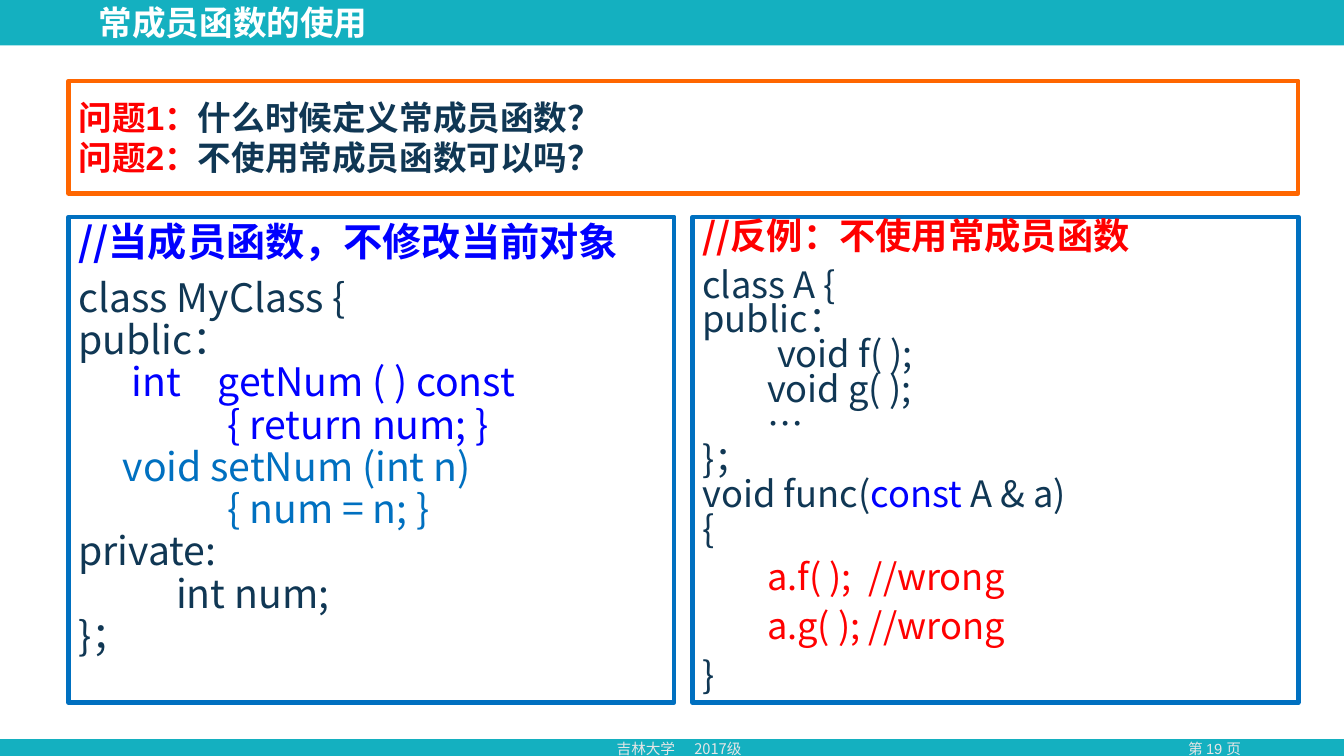
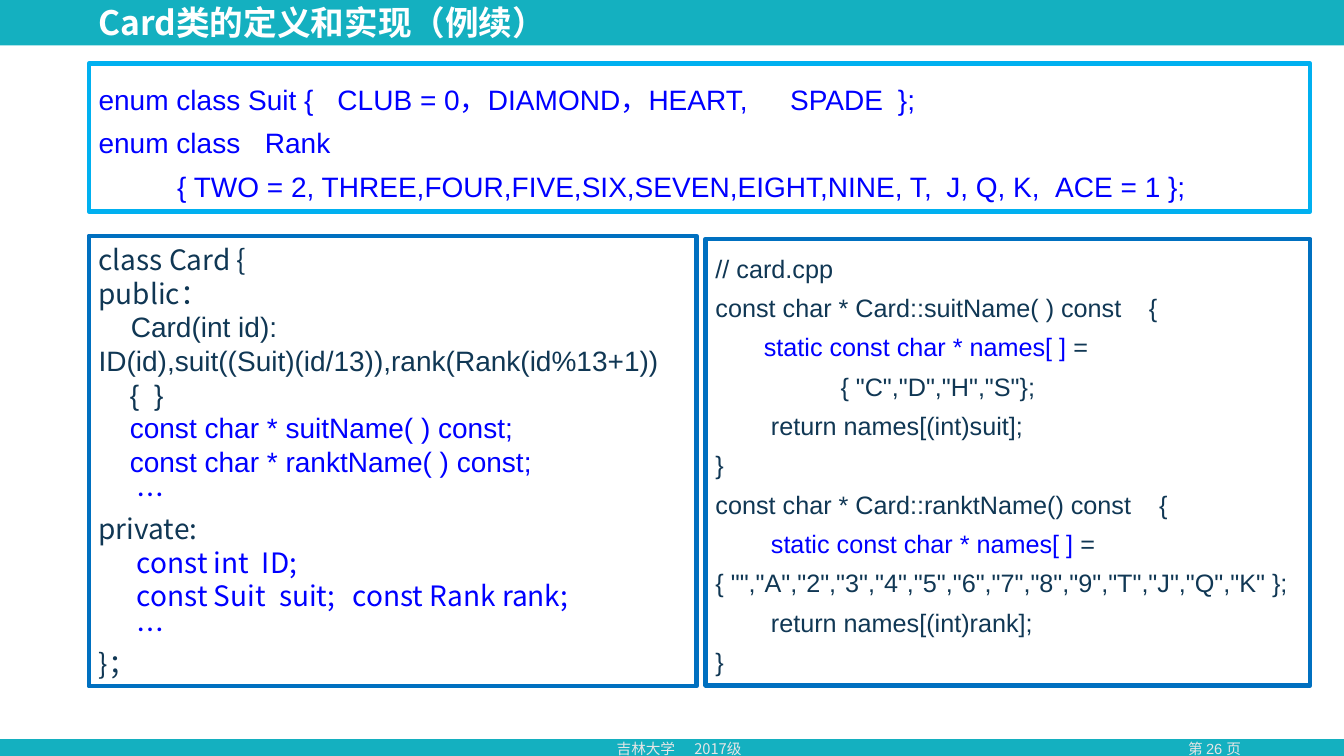
from dataclasses import dataclass

import pptx
import pptx.dml.color
import pptx.enum.shapes
import pptx.enum.text
import pptx.oxml.ns
import pptx.util
from lxml import etree

RGB = pptx.dml.color.RGBColor
Anchor = pptx.enum.text.MSO_ANCHOR
Align = pptx.enum.text.PP_ALIGN
RECTANGLE = pptx.enum.shapes.MSO_SHAPE.RECTANGLE

# Shared look
TEAL = RGB(0x14, 0xB0, 0xC0)
WHITE = RGB(0xFF, 0xFF, 0xFF)
PALE = RGB(0xE7, 0xE6, 0xE6)
NAVY = RGB(0x10, 0x37, 0x54)
BLUE = RGB(0x00, 0x00, 0xFF)
STEEL = RGB(0x00, 0x70, 0xC0)
SKY = RGB(0x00, 0xB0, 0xF0)
ORANGE = RGB(0xFF, 0x66, 0x00)
RED = RGB(0xFF, 0x00, 0x00)

ARIAL = "Arial"
NOTO = "Noto Sans CJK SC"
LINE_HEIGHT = 1.2  # height of a single-spaced line, in font sizes

WIDTH = pptx.util.Inches(13.333)
HEIGHT = pptx.util.Inches(7.5)


@dataclass(frozen=True)
class Place:
    """Position and size in percent of the slide."""
    left: float
    top: float
    width: float
    height: float

    def lengths(self) -> tuple[int, int, int, int]:
        return (int(WIDTH * self.left / 100), int(HEIGHT * self.top / 100),
                int(WIDTH * self.width / 100), int(HEIGHT * self.height / 100))


@dataclass(frozen=True)
class Span:
    text: str
    color: RGB = NAVY
    font: str = ""  # empty: the font of the text style


@dataclass(frozen=True)
class Line:
    spans: tuple[Span, ...]
    stops: tuple[float, ...] = ()  # tab stops in inches
    before: float = 0
    bold: bool = False


@dataclass(frozen=True)
class Style:
    font: str
    size: float
    spacing: float = 1
    anchor: Anchor = Anchor.TOP
    align: Align = Align.LEFT


@dataclass(frozen=True)
class Panel:
    place: Place
    border: RGB
    style: Style
    lines: tuple[Line, ...]


@dataclass(frozen=True)
class Page:
    title: str
    number: int
    panels: tuple[Panel, ...]


def code(text: str, *stops: float, color: RGB = NAVY, font: str = "",
         before: float = 0, bold: bool = False) -> Line:
    """A line in one colour, with tabs that go to the given stops."""
    return Line((Span(text, color, font),), stops, before, bold)


TITLE = Style(NOTO, 24, 0.9, Anchor.MIDDLE)
FOOTER = Style(NOTO, 10.5)
NUMBER = Style(ARIAL, 10.5, align=Align.CENTER)

TITLE_PLACE = Place(6.6, 0.53, 57.6, 5.2)
BODY_PLACE = Place(0, 6, 100, 91.73)
FOOTER_PLACE = Place(45.15, 97.2, 13.8, 3.73)
NUMBER_PLACE = Place(84.9, 97.2, 10.95, 3.73)

# Slide contents
QUESTIONS = Panel(
    Place(5.1, 10.67, 91.5, 14.93), ORANGE,
    Style(ARIAL, 24, anchor=Anchor.MIDDLE),
    tuple(Line((Span(label, RED), Span(question)), bold=True)
          for label, question in (("问题1：", "什么时候定义常成员函数？"),
                                  ("问题2：", "不使用常成员函数可以吗？"))))

CONST_MEMBER = Panel(
    Place(5.1, 28.67, 45.08, 64.27), STEEL, Style(NOTO, 28, 0.9), (
        code("//当成员函数，不修改当前对象", color=BLUE, bold=True),
        code("class MyClass {", before=10),
        code("public："),
        code("\tint\tgetNum ( ) const", 0.53, 1.38, color=BLUE),
        code("\t{ return num; }", 1.48, color=BLUE),
        code("\tvoid setNum (int n)", 0.44, color=STEEL),
        code("\t{ num = n; }", 1.48, color=STEEL),
        code("private:"),
        code("\tint num;", 0.97),
        code("}；"),
    ))

COUNTEREXAMPLE = Panel(
    Place(51.53, 28.67, 45.08, 64.27), STEEL, Style(NOTO, 25.9, 0.8), (
        Line((Span("//", RED), Span("反例：不使用常成员函数", RED, ARIAL)),
             bold=True),
        code("class A {", before=10),
        code("public："),
        code("\tvoid f( );", 0.74),
        code("\tvoid g( );", 0.64),
        code("\t…", 0.64),
        code("}；"),
        Line((Span("void func("), Span("const ", BLUE), Span("A & a)"))),
        code("{"),
        code("\ta.f( );\t//wrong", 0.64, 1.65, color=RED, before=10),
        code("\ta.g( ); //wrong", 0.64, color=RED, before=10),
        code("}", before=10),
    ))

CARD_CLASS = Panel(
    Place(6.6, 31.2, 45.23, 59.6), STEEL,
    Style(ARIAL, 20, anchor=Anchor.MIDDLE), (
        code("class Card {", font=NOTO),
        code("public：", font=NOTO),
        code("\tCard(int id):", 0.32),
        code("ID(id),suit((Suit)(id/13)),rank(Rank(id%13+1))"),
        code("\t{\t}", 0.31, 0.55),
        code("\tconst char * suitName( ) const;", 0.31, color=BLUE),
        code("\tconst char * ranktName( ) const;", 0.31, color=BLUE),
        code("\t…", 0.38, color=BLUE, font=NOTO),
        code("private:", font=NOTO),
        code("\tconst int\tID;", 0.38, 1.62, color=BLUE, font=NOTO),
        code("\tconst Suit\tsuit;\tconst Rank rank;", 0.38, 1.79, 2.52,
             color=BLUE, font=NOTO),
        code("\t…", 0.38, color=BLUE, font=NOTO),
        code("}；", font=NOTO),
    ))

ENUMS = Panel(
    Place(6.6, 8.4, 90.9, 19.6), SKY,
    Style(ARIAL, 20, 1.3, Anchor.MIDDLE), (
        code("enum class Suit {\tCLUB = 0，DIAMOND，HEART,\tSPADE\t};",
             2.37, 6.86, 7.93, color=BLUE),
        code("enum class\tRank", 1.65, color=BLUE),
        code("\t{ TWO = 2, THREE,FOUR,FIVE,SIX,SEVEN,EIGHT,NINE, T,"
             "\tJ, Q, K,\tACE = 1 };", 0.78, 8.41, 9.49, color=BLUE),
    ))

NAMES = Span("\tstatic const char * names[ ] ", BLUE)
CARD_SOURCE = Panel(
    Place(52.5, 31.6, 45, 59.07), STEEL, Style(ARIAL, 18, 1.3), (
        code("// card.cpp"),
        code("const char * Card::suitName( ) const\t{", 4.3),
        Line((NAMES, Span("=")), (0.48,)),
        code('\t{ "C","D","H","S"};', 1.24),
        code("\treturn names[(int)suit];", 0.55),
        code("}"),
        code("const char * Card::ranktName() const\t{", 4.4),
        Line((NAMES, Span("=")), (0.55,)),
        code('{ "","A","2","3","4","5","6","7","8","9","T","J","Q","K" };'),
        code("\treturn names[(int)rank];", 0.55),
        code("}"),
    ))

PAGES = (
    Page("常成员函数的使用", 19, (CONST_MEMBER, QUESTIONS, COUNTEREXAMPLE)),
    Page("Card类的定义和实现（例续）", 26, (CARD_CLASS, ENUMS, CARD_SOURCE)),
)


# Drawing
def add_child(parent, tag: str, **attributes: str):
    return etree.SubElement(parent, pptx.oxml.ns.qn(tag), attributes)


def set_stops(para, stops: tuple[float, ...]) -> None:
    tab_list = add_child(para._p.get_or_add_pPr(), "a:tabLst")
    for stop in stops:
        add_child(tab_list, "a:tab", pos=str(pptx.util.Inches(stop)), algn="l")


def write(box, style: Style, lines: tuple[Line, ...]) -> None:
    frame = box.text_frame
    frame.word_wrap = True
    frame.vertical_anchor = style.anchor
    for index, line in enumerate(lines):
        para = frame.add_paragraph() if index else frame.paragraphs[0]
        para.alignment = style.align
        para.line_spacing = pptx.util.Pt(
            round(style.size * LINE_HEIGHT * style.spacing, 1))
        para.space_before = pptx.util.Pt(line.before)
        if line.stops:
            set_stops(para, line.stops)
        for span in line.spans:
            run = para.add_run()
            run.text = span.text
            run.font.size = pptx.util.Pt(style.size)
            run.font.bold = line.bold
            run.font.color.rgb = span.color
            run.font.name = span.font or style.font
            add_child(run._r.get_or_add_rPr(), "a:ea", typeface=NOTO)


def add_rectangle(page, place: Place, fill: RGB | None = None,
                  border: RGB | None = None):
    box = page.shapes.add_shape(RECTANGLE, *place.lengths())
    box.shadow.inherit = False
    if fill is None:
        box.fill.background()
    else:
        box.fill.solid()
        box.fill.fore_color.rgb = fill
    if border is None:
        box.line.fill.background()
    else:
        box.line.color.rgb = border
        box.line.width = pptx.util.Pt(3)
    return box


def add_label(page, place: Place, style: Style, line: Line) -> None:
    write(page.shapes.add_textbox(*place.lengths()), style, (line,))


def add_page(deck, content: Page) -> None:
    page = deck.slides.add_slide(deck.slide_layouts[6])
    # Teal bands, footer and title
    add_rectangle(page, Place(0, 0, 100, 100), fill=TEAL)
    add_rectangle(page, BODY_PLACE, fill=WHITE)
    add_label(page, NUMBER_PLACE, NUMBER,
              code(f"第 {content.number} 页", color=PALE))
    add_label(page, FOOTER_PLACE, FOOTER,
              code("吉林大学\t2017级", 0.77, color=PALE))
    add_label(page, TITLE_PLACE, TITLE,
              code(content.title, color=WHITE, bold=True))
    # Framed text
    for panel in content.panels:
        box = add_rectangle(page, panel.place, border=panel.border)
        write(box, panel.style, panel.lines)


def main() -> None:
    deck = pptx.Presentation()
    deck.slide_width = WIDTH
    deck.slide_height = HEIGHT
    for content in PAGES:
        add_page(deck, content)
    deck.save("out.pptx")


if __name__ == "__main__":
    main()
